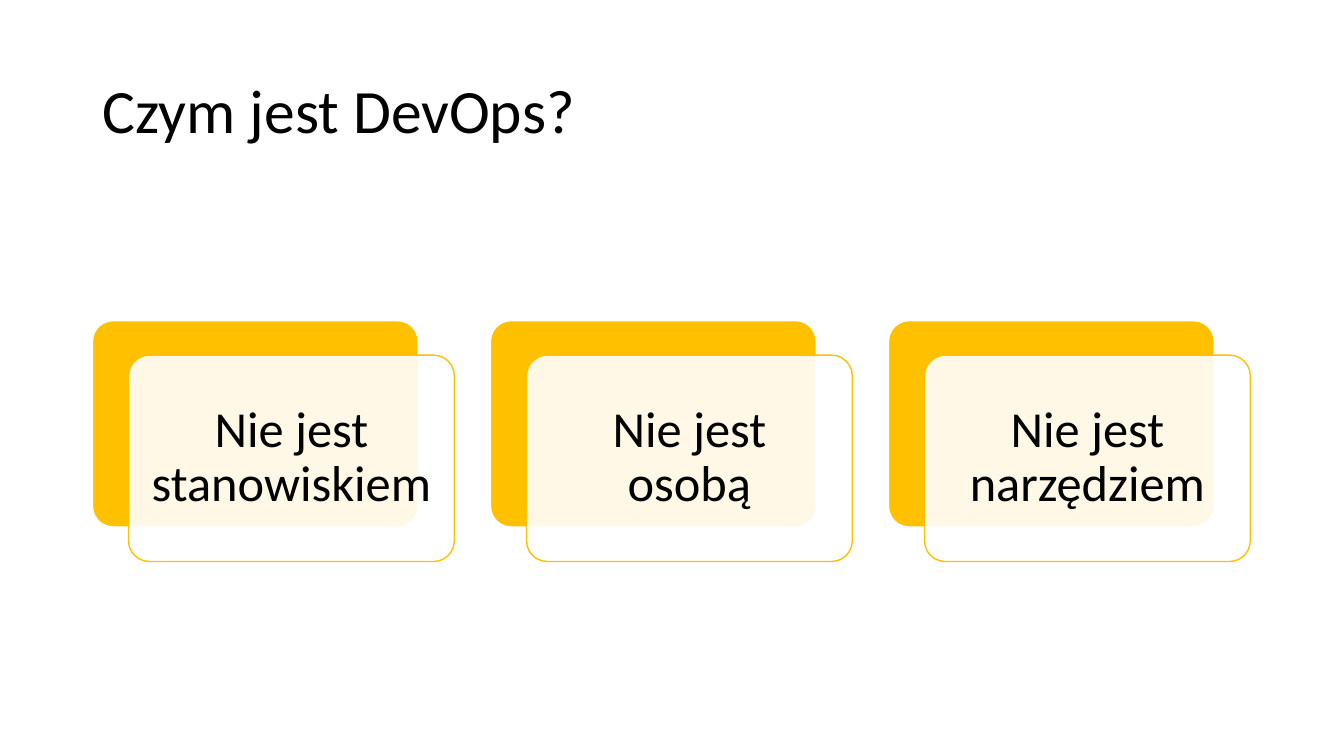
from lxml.etree import SubElement
from pptx import Presentation
from pptx.dml.color import RGBColor
from pptx.enum.shapes import MSO_SHAPE
from pptx.enum.text import MSO_ANCHOR, PP_ALIGN
from pptx.oxml.ns import qn
from pptx.util import Cm, Pt

AMBER = RGBColor(0xFF, 0xC0, 0x00)
WHITE = RGBColor(0xFF, 0xFF, 0xFF)
BLACK = RGBColor(0x00, 0x00, 0x00)

CLAIMS = ["Nie jest stanowiskiem", "Nie jest osobą", "Nie jest narzędziem"]
LEFT, TOP = 2.33, 8.08
CARD_WIDTH, CARD_HEIGHT = 8.21, 5.2
CARD_PITCH = 10.03
SHIFT_X, SHIFT_Y = 0.91, 0.87
INSET = Cm(0.38)
CARD_FRAME = {
    "word_wrap": True,
    "vertical_anchor": MSO_ANCHOR.MIDDLE,
    "margin_left": INSET,
    "margin_right": INSET,
    "margin_top": INSET,
    "margin_bottom": INSET,
}


def write(frame, text, size, frame_format, align):
    for name, value in frame_format.items():
        setattr(frame, name, value)
    paragraph = frame.paragraphs[0]
    paragraph.alignment = align
    paragraph.line_spacing = 0.9
    run = paragraph.add_run()
    run.text = text
    for name, value in {"name": "Calibri", "size": Pt(size)}.items():
        setattr(run.font, name, value)
    run.font.color.rgb = BLACK


def add_card(left, top, fill, line):
    card = slide.shapes.add_shape(
        MSO_SHAPE.ROUNDED_RECTANGLE, Cm(left), Cm(top), Cm(CARD_WIDTH), Cm(CARD_HEIGHT)
    )
    card.adjustments[0] = 0.1
    card.shadow.inherit = False
    card.fill.solid()
    card.fill.fore_color.rgb = fill
    card.line.color.rgb = line
    card.line.width = Pt(1)
    return card


presentation = Presentation()
presentation.slide_width = Cm(33.87)
presentation.slide_height = Cm(19.05)
slide = presentation.slides.add_slide(presentation.slide_layouts[6])

# Title
title = slide.shapes.add_textbox(Cm(LEFT), Cm(1.01), Cm(29.21), Cm(3.68))
title_frame = {"word_wrap": True, "vertical_anchor": MSO_ANCHOR.MIDDLE}
write(title.text_frame, "Czym jest DevOps?", 44, title_frame, PP_ALIGN.LEFT)

# Cards: an amber back and a translucent front shifted down and right
for index, claim in enumerate(CLAIMS):
    left = LEFT + index * CARD_PITCH
    add_card(left, TOP, AMBER, WHITE)
    front = add_card(left + SHIFT_X, TOP + SHIFT_Y, WHITE, AMBER)
    front_color = front.fill._xPr.find(qn("a:solidFill"))[0]
    SubElement(front_color, qn("a:alpha"), val="90000")
    write(front.text_frame, claim, 36, CARD_FRAME, PP_ALIGN.CENTER)

presentation.save("out.pptx")
